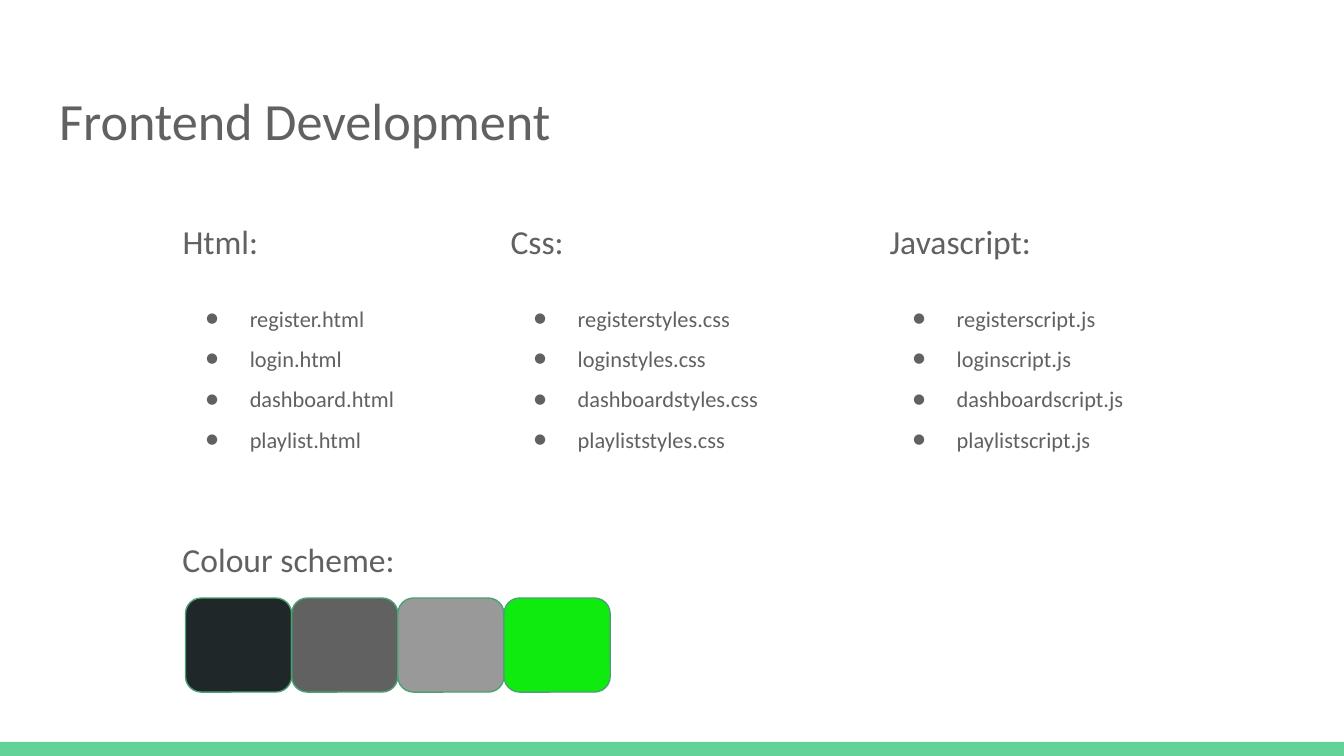
from lxml import etree
from pptx import Presentation
from pptx.dml.color import RGBColor
from pptx.enum.shapes import MSO_SHAPE
from pptx.enum.text import MSO_ANCHOR, PP_ALIGN
from pptx.oxml.ns import qn
from pptx.util import Inches, Pt

COLORS = {
    "text": "616161",
    "bar": "63D297",
    "outline": "4BA173",
    "background": "FFFFFF",
}
SWATCHES = ["202729", "616161", "999999", "0FEB0F"]
PAGES = ["register", "login", "dashboard", "playlist"]
COLUMNS = [
    ("Html:", ".html", 1.26, 2.11),
    ("Css:", "styles.css", 3.7, 2.22),
    ("Javascript:", "script.js", 6.52, 2.22),
]


class SlideBuilder:
    """Holds the slide and its style, and adds each kind of element."""

    def __init__(self, slide, font="Calibri"):
        self.slide = slide
        self.font = font
        fill = slide.background.fill
        fill.solid()
        fill.fore_color.rgb = RGBColor.from_string(COLORS["background"])

    def frame(self, sp):
        tf = sp.text_frame
        tf.word_wrap = True
        tf.vertical_anchor = MSO_ANCHOR.TOP
        tf.margin_left = tf.margin_right = Inches(0.1)
        tf.margin_top = tf.margin_bottom = Inches(0.1)
        return tf

    def style(self, p, size, spacing=1.0, before=0, after=0):
        p.alignment = PP_ALIGN.LEFT
        p.line_spacing = spacing
        p.space_before, p.space_after = Pt(before), Pt(after)
        p.font.name, p.font.size = self.font, Pt(size)
        p.font.color.rgb = RGBColor.from_string(COLORS["text"])

    def bullet(self, p, size):
        pPr = p._p.get_or_add_pPr()
        pPr.set("marL", str(Inches(0.5)))
        pPr.set("indent", str(Inches(-0.33)))
        color = etree.Element(qn("a:buClr"))
        etree.SubElement(color, qn("a:srgbClr"), val=COLORS["text"])
        parts = [
            color,
            etree.Element(qn("a:buSzPts"), val=str(size * 100)),
            etree.Element(qn("a:buFont"), typeface=self.font),
            etree.Element(qn("a:buChar"), char="●"),
        ]
        for part in parts:
            pPr.find(qn("a:defRPr")).addprevious(part)

    def title(self, text, x, y, w, h):
        sp = self.slide.shapes.title
        sp.left, sp.top, sp.width, sp.height = map(Inches, (x, y, w, h))
        tf = self.frame(sp)
        tf.text = text
        self.style(tf.paragraphs[0], 28, spacing=1.15, after=16)

    def text(self, text, x, y, w, h, spacing=1.0):
        sp = self.slide.shapes.add_textbox(*map(Inches, (x, y, w, h)))
        tf = self.frame(sp)
        tf.text = text
        self.style(tf.paragraphs[0], 18, spacing)
        return tf

    def column(self, heading, items, x, y, w, h):
        tf = self.text(heading, x, y, w, h, spacing=1.15)
        for i, item in enumerate(items):
            p = tf.add_paragraph()
            p.text = item
            self.style(p, 12, spacing=1.5, before=0 if i else 16)
            self.bullet(p, 12)

    def box(self, shape, fill, x, y, w, h, outline=None):
        sp = self.slide.shapes.add_shape(shape, *map(Inches, (x, y, w, h)))
        sp.shadow.inherit = False
        sp.fill.solid()
        sp.fill.fore_color.rgb = RGBColor.from_string(fill)
        if outline:
            sp.line.color.rgb = RGBColor.from_string(outline)
            sp.line.width = Pt(0.75)
        else:
            sp.line.fill.background()


def main():
    prs = Presentation()
    prs.slide_width = Inches(10)
    prs.slide_height = prs.slide_width * 9 // 16
    s = SlideBuilder(prs.slides.add_slide(prs.slide_layouts[5]))

    s.box(MSO_SHAPE.RECTANGLE, COLORS["bar"], 0, 5.52, 10, 0.11)
    s.title("Frontend Development", 0.34, 0.49, 9.32, 0.63)
    for heading, suffix, x, w in COLUMNS:
        s.column(heading, [page + suffix for page in PAGES], x, 1.5, w, 2.19)

    s.text("Colour scheme:", 1.26, 3.91, 1.97, 0.55)
    size = 0.79
    for i, color in enumerate(SWATCHES):
        s.box(MSO_SHAPE.ROUNDED_RECTANGLE, color, 1.38 + i * size, 4.45,
              size, 0.7, COLORS["outline"])

    prs.save("out.pptx")


if __name__ == "__main__":
    main()
